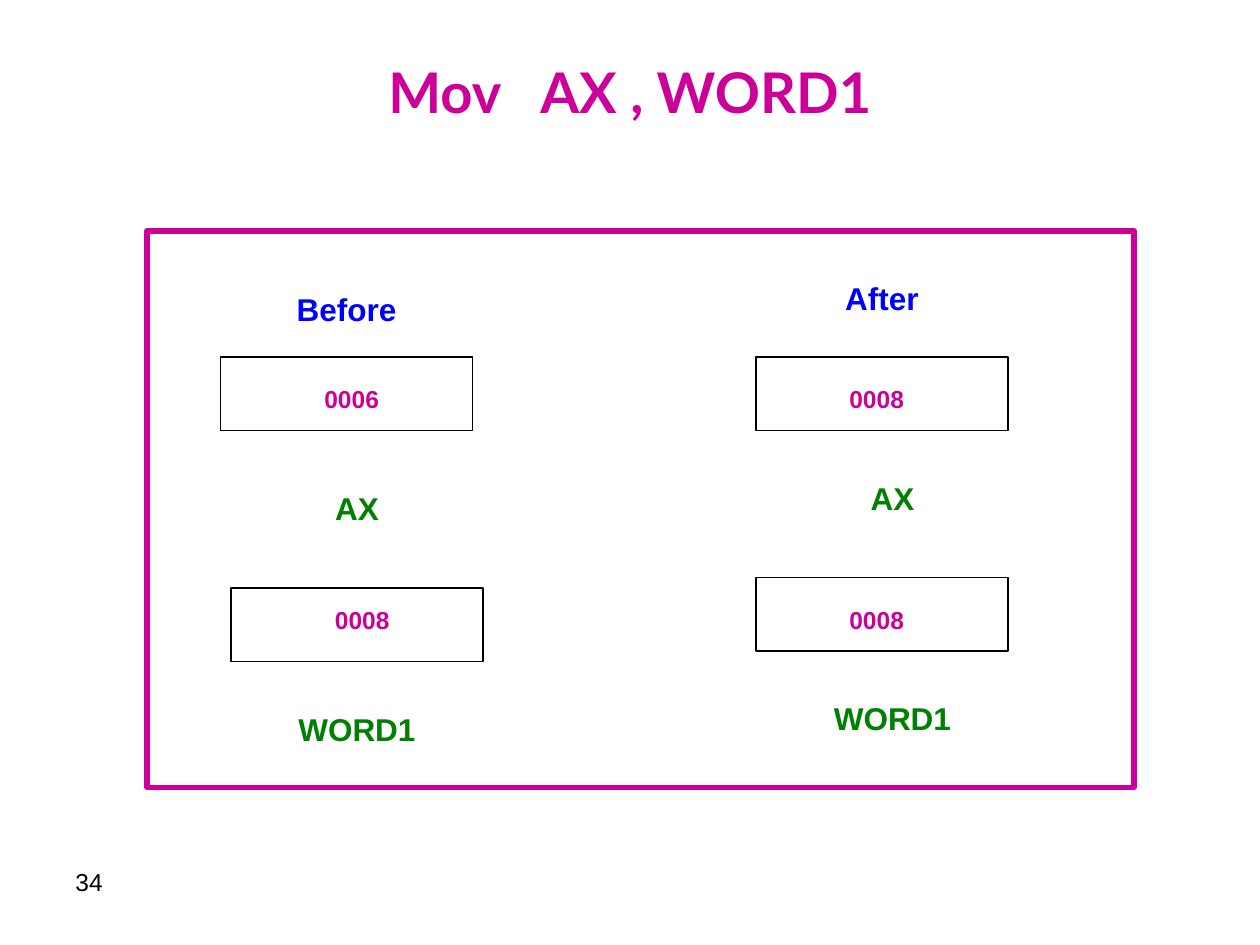
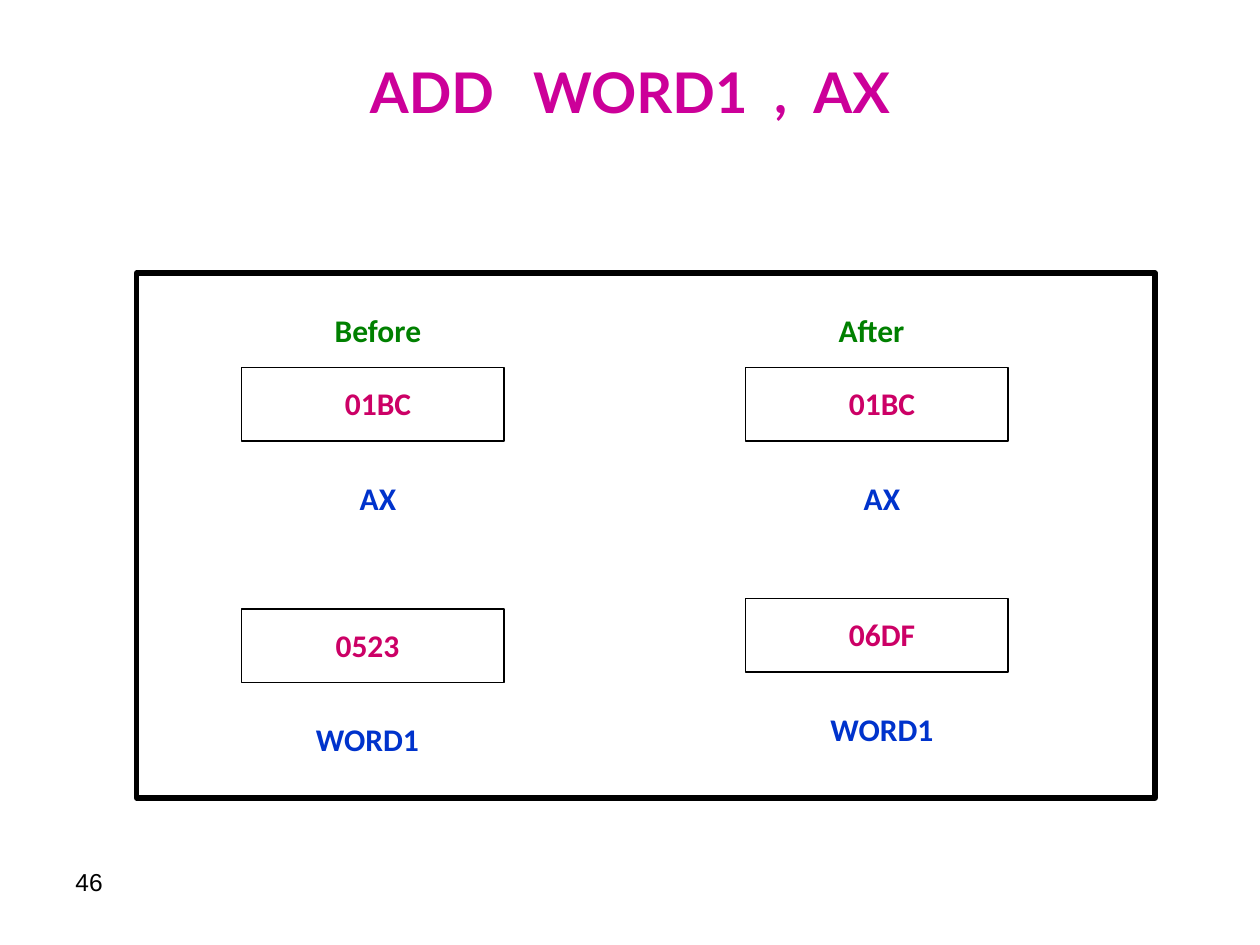
from dataclasses import dataclass

from pptx import Presentation
from pptx.dml.color import RGBColor
from pptx.enum import shapes, text
from pptx.util import Pt

MAGENTA, BLACK, GREEN = "CC0099", "000000", "008000"
BOX_HEIGHT = 42
SPACE_WIDTH = 7.23  # one space of the title font, in points


@dataclass
class Style:
    font: str
    frame_color: str
    heading_color: str
    name_color: str
    value_color: str
    value_size: int
    box_width: int
    name_width: int
    value_width: int


MOV_STYLE = Style("Arial", MAGENTA, "0000FF", GREEN, MAGENTA, 14, 144, 108, 114)
ADD_STYLE = Style("Calibri", BLACK, GREEN, "0033CC", "CC0066", 18, 150, 144, 132)

# Headings: text, left, top.
# Registers: name, value, then the left and top of box, value and name.
MOV_HEADINGS = [("Before", 126, 162), ("After", 432, 156)]
MOV_REGISTERS = [
    ("AX", "0006", (126, 204), (144, 216), (150, 276)),
    ("AX", "0008", (432, 204), (444, 216), (456, 270)),
    ("WORD1", "0008", (132, 336), (150, 342), (150, 402)),
    ("WORD1", "0008", (432, 330), (444, 342), (456, 396)),
]
ADD_HEADINGS = [("Before", 144, 174), ("After", 426, 174)]
ADD_REGISTERS = [
    ("AX", "01BC", (138, 210), (150, 216), (144, 270)),
    ("AX", "01BC", (426, 210), (438, 216), (432, 270)),
    ("WORD1", "0523", (138, 348), (144, 354), (138, 408)),
    ("WORD1", "06DF", (426, 342), (438, 348), (432, 402)),
]


def rgb(color):
    return RGBColor.from_string(color)


def add_text(slide, words, left, top, width, height, font, size, color,
             bold=True, align=text.PP_ALIGN.CENTER):
    """Add a one-paragraph text box and return its text frame."""
    box = slide.shapes.add_textbox(Pt(left), Pt(top), Pt(width), Pt(height))
    frame = box.text_frame
    frame.word_wrap = True
    paragraph = frame.paragraphs[0]
    if words:
        paragraph.add_run().text = words
    paragraph.alignment = align
    paragraph.font.name = font
    paragraph.font.size = Pt(size)
    paragraph.font.bold = bold
    paragraph.font.color.rgb = rgb(color)
    return frame


def add_title(slide, parts):
    """Add the title; each part is its words and the spaces that follow."""
    frame = add_text(slide, "", 36, 21.6, 648, 61.2, "Lato", 32, MAGENTA)
    frame.vertical_anchor = text.MSO_ANCHOR.MIDDLE
    paragraph = frame.paragraphs[0]
    for words, spaces in parts:
        paragraph.add_run().text = words
        if spaces:
            gap = paragraph.add_run()
            gap.text = " "
            tracking = round((spaces - 1) * SPACE_WIDTH * 100)
            gap.font._element.set("spc", str(tracking))


def add_outline(slide, left, top, width, height, color, weight):
    shape = slide.shapes.add_shape(shapes.MSO_SHAPE.RECTANGLE, Pt(left), Pt(top),
                                   Pt(width), Pt(height))
    shape.shadow.inherit = False
    shape.fill.background()
    shape.line.color.rgb = rgb(color)
    shape.line.width = Pt(weight)


def add_register(slide, style, name, value, box_at, value_at, name_at):
    """Add a register's box with its value inside and its name below."""
    add_outline(slide, *box_at, style.box_width, BOX_HEIGHT, BLACK, 0.75)
    add_text(slide, value, *value_at, style.value_width, 24 if style.value_size == 14 else 29,
             style.font, style.value_size, style.value_color)
    add_text(slide, name, *name_at, style.name_width, 29, style.font, 18, style.name_color)


def add_instruction_slide(presentation, number, title, style, frame, headings, registers):
    """Add a slide that shows the registers before and after an instruction."""
    slide = presentation.slides.add_slide(presentation.slide_layouts[6])
    add_text(slide, number, 36, 492, 168, 37.5, "Arial", 14, BLACK,
             bold=False, align=text.PP_ALIGN.LEFT)
    add_title(slide, title)
    add_outline(slide, *frame, style.frame_color, 3)
    for heading, left, top in headings:
        add_text(slide, heading, left, top, 144, 29, style.font, 18, style.heading_color)
    for register in registers:
        add_register(slide, style, *register)


def main():
    presentation = Presentation()
    presentation.slide_width = Pt(720)
    presentation.slide_height = Pt(540)
    add_instruction_slide(presentation, "34", [("Mov", 3), ("AX , WORD1", 0)], MOV_STYLE,
                          (84, 132, 564, 318), MOV_HEADINGS, MOV_REGISTERS)
    add_instruction_slide(presentation, "46", [("ADD", 3), ("WORD1", 2), (",", 2), ("AX", 0)],
                          ADD_STYLE, (78, 156, 582, 300), ADD_HEADINGS, ADD_REGISTERS)
    presentation.save("out.pptx")


if __name__ == "__main__":
    main()
